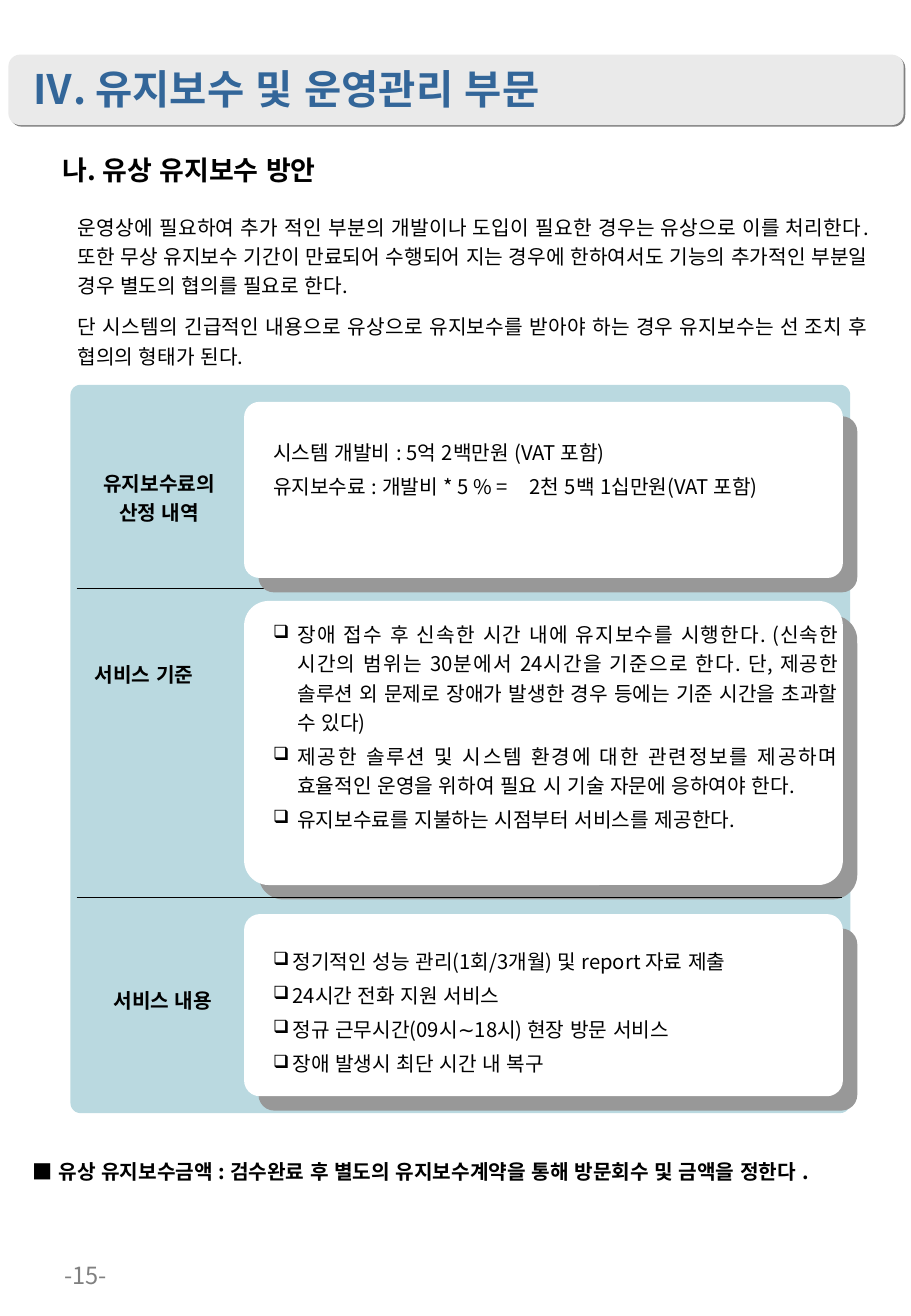
import pptx
import pptx.util
import pptx.dml.color
import pptx.enum.lang
import pptx.enum.shapes
import pptx.enum.text
import pptx.oxml.ns
from lxml import etree

WIDE, HIGH = 7.5, 10.84
FACE = "Noto Sans CJK KR"
HUES = {
    "ink": "000000", "title": "336699", "page": "808080", "head": "EAEAEA",
    "panel": "BAD9E0", "card": "FFFFFF", "shade": "989898",
}
ALIGN = pptx.enum.text.PP_ALIGN

INTRO = [
    "운영상에 필요하여 추가 적인 부분의 개발이나 도입이 필요한 경우는 유상으로 이를 처리한다. "
    "또한 무상 유지보수 기간이 만료되어 수행되어 지는 경우에 한하여서도 기능의 추가적인 부분일 "
    "경우 별도의 협의를 필요로 한다.",
    "단 시스템의 긴급적인 내용으로 유상으로 유지보수를 받아야 하는 경우 유지보수는 "
    "선 조치 후 협의의 형태가 된다.",
]
COSTS = [
    "시스템 개발비 : 5억 2백만원 (VAT 포함)",
    "유지보수료 : 개발비 * 5 % =\t2천 5백 1십만원(VAT 포함)",
]
RULES = [
    "장애 접수 후 신속한 시간 내에 유지보수를 시행한다. (신속한 시간의 범위는 30분에서 "
    "24시간을 기준으로 한다. 단, 제공한 솔루션 외 문제로 장애가 발생한 경우 등에는 "
    "기준 시간을 초과할 수 있다)",
    "제공한 솔루션 및 시스템 환경에 대한 관련정보를 제공하며 효율적인 운영을 위하여 "
    "필요 시 기술 자문에 응하여야 한다.",
    "유지보수료를 지불하는 시점부터 서비스를 제공한다.",
]
TASKS = [
    "정기적인 성능 관리(1회/3개월) 및 report 자료 제출",
    "24시간 전화 지원 서비스",
    "정규 근무시간(09시∼18시) 현장 방문 서비스",
    "장애 발생시 최단 시간 내 복구",
]


def place(left, top, wide, high):
    """Turn percent shares of the slide into lengths."""
    sides = (WIDE, HIGH, WIDE, HIGH)
    return [pptx.util.Inches(share * side / 100)
            for share, side in zip((left, top, wide, high), sides)]


def color(name):
    """Look up a named colour."""
    return pptx.dml.color.RGBColor.from_string(HUES[name])


def node(parent, tag, **attrs):
    """Add a drawing element below its parent."""
    child = etree.SubElement(parent, pptx.oxml.ns.qn("a:" + tag))
    for key, value in attrs.items():
        child.set(key, str(value))
    return child


def panel(slide, area, fill, round_by, shade=None, reach=0):
    """Draw a rounded panel, with a hard shadow where one is named."""
    kind = pptx.enum.shapes.MSO_SHAPE.ROUNDED_RECTANGLE
    shape = slide.shapes.add_shape(kind, *place(*area))
    shape.adjustments[0] = round_by
    shape.fill.solid()
    shape.fill.fore_color.rgb = color(fill)
    shape.line.fill.background()
    shape.shadow.inherit = False
    if shade:
        effects = shape.element.spPr.find(pptx.oxml.ns.qn("a:effectLst"))
        cast = node(effects, "outerShdw", blurRad=0, dist=pptx.util.Pt(reach),
                    dir=45 * 60000, algn="ctr", rotWithShape=0)
        node(cast, "srgbClr", val=HUES[shade])


def rule(slide, top):
    """Draw a thin line across the panel."""
    left, level, wide, _ = place(8.4, top, 84, 0)
    kind = pptx.enum.shapes.MSO_CONNECTOR.STRAIGHT
    line = slide.shapes.add_connector(kind, left, level, left + wide, level)
    line.line.color.rgb = color("ink")
    line.line.width = pptx.util.Pt(0.5)
    node(line.element.spPr, "effectLst")


def text(slide, area, lines, size=12, hue="ink", bold=False, align=ALIGN.LEFT,
         pitch=1.0, gap=0, hang=0, mark=None, stop=None):
    """Write paragraphs in a text box."""
    frame = slide.shapes.add_textbox(*place(*area)).text_frame
    frame.word_wrap = True
    for count, words in enumerate(lines):
        para = frame.add_paragraph() if count else frame.paragraphs[0]
        props = para._p.get_or_add_pPr()
        if hang:
            props.set("marL", str(pptx.util.Inches(hang)))
            props.set("indent", str(-pptx.util.Inches(hang)))
        if mark:
            node(node(props, "buClr"), "srgbClr", val=HUES[hue])
            node(props, "buSzPct", val=90000)
            node(props, "buChar", char=mark)
        if stop:
            node(node(props, "tabLst"), "tab", pos=pptx.util.Inches(stop), algn="l")
        para.alignment = align
        para.line_spacing = pitch
        para.space_before = pptx.util.Pt(gap if count else 0)
        run = para.add_run()
        run.text = words
        font = run.font
        font.name, font.size, font.bold = FACE, pptx.util.Pt(size), bold
        font.color.rgb = color(hue)
        font.language_id = pptx.enum.lang.MSO_LANGUAGE_ID.KOREAN
        node(run._r.get_or_add_rPr(), "ea", typeface=FACE)


def card(slide, top, high):
    """Draw a white card on the panel."""
    panel(slide, (26.8, top, 65.73, high), "card", 0.087, "shade", 12.1)


def label(slide, area, words, align=ALIGN.CENTER):
    """Write the bold name of a row."""
    text(slide, area, [words], bold=True, align=align, pitch=1.2)


def detail(slide, top, high, lines, **form):
    """Write the body of a card."""
    text(slide, (28.67, top, 64.67, high), lines, align=ALIGN.JUSTIFY,
         pitch=1.2, gap=3, **form)


def main():
    """Build the slide and save it."""
    deck = pptx.Presentation()
    deck.slide_width = pptx.util.Inches(WIDE)
    deck.slide_height = pptx.util.Inches(HIGH)
    slide = deck.slides.add_slide(deck.slide_layouts[6])

    text(slide, (0.8, 95.39, 12.27, 4.6), ["-15-"], size=14, hue="page",
         align=ALIGN.RIGHT)
    panel(slide, (0.93, 4.15, 98.27, 5.35), "head", 0.167, "page", 1.4)
    text(slide, (5.6, 10.24, 84.4, 8.76), ["나. 유상 유지보수 방안"], size=16,
         bold=True, pitch=1.4)
    text(slide, (2.27, 4.43, 84.4, 4.98), ["Ⅳ. 유지보수 및 운영관리 부문"],
         size=24, hue="title", bold=True)
    text(slide, (7.2, 15.5, 89.47, 13), INTRO, align=ALIGN.JUSTIFY,
         pitch=1.2, gap=7.5)
    text(slide, (2.27, 87.64, 97.73, 2.77),
         ["■ 유상 유지보수금액 : 검수완료 후 별도의 유지보수계약을 통해 방문회수 및 금액을 정한다 ."],
         bold=True)

    panel(slide, (7.73, 29.24, 85.6, 55.35), "panel", 0.014)
    rule(slide, 44.74)
    card(slide, 30.54, 13.38)
    label(slide, (8.27, 34.96, 18.4, 5.35), "유지보수료의 산정 내역")
    detail(slide, 32.66, 5.72, COSTS, hang=0.11, stop=2.21)

    card(slide, 45.66, 21.59)
    label(slide, (9.07, 49.54, 17.6, 3.14), "서비스 기준", ALIGN.JUSTIFY)
    detail(slide, 46.49, 17.16, RULES, hang=0.2, mark="❑")
    rule(slide, 68.17)

    card(slide, 69.46, 13.84)
    label(slide, (9.07, 74.26, 17.6, 3.14), "서비스 내용")
    detail(slide, 71.31, 10.98, TASKS, hang=0.16, mark="❑")

    deck.save("out.pptx")


if __name__ == "__main__":
    main()
